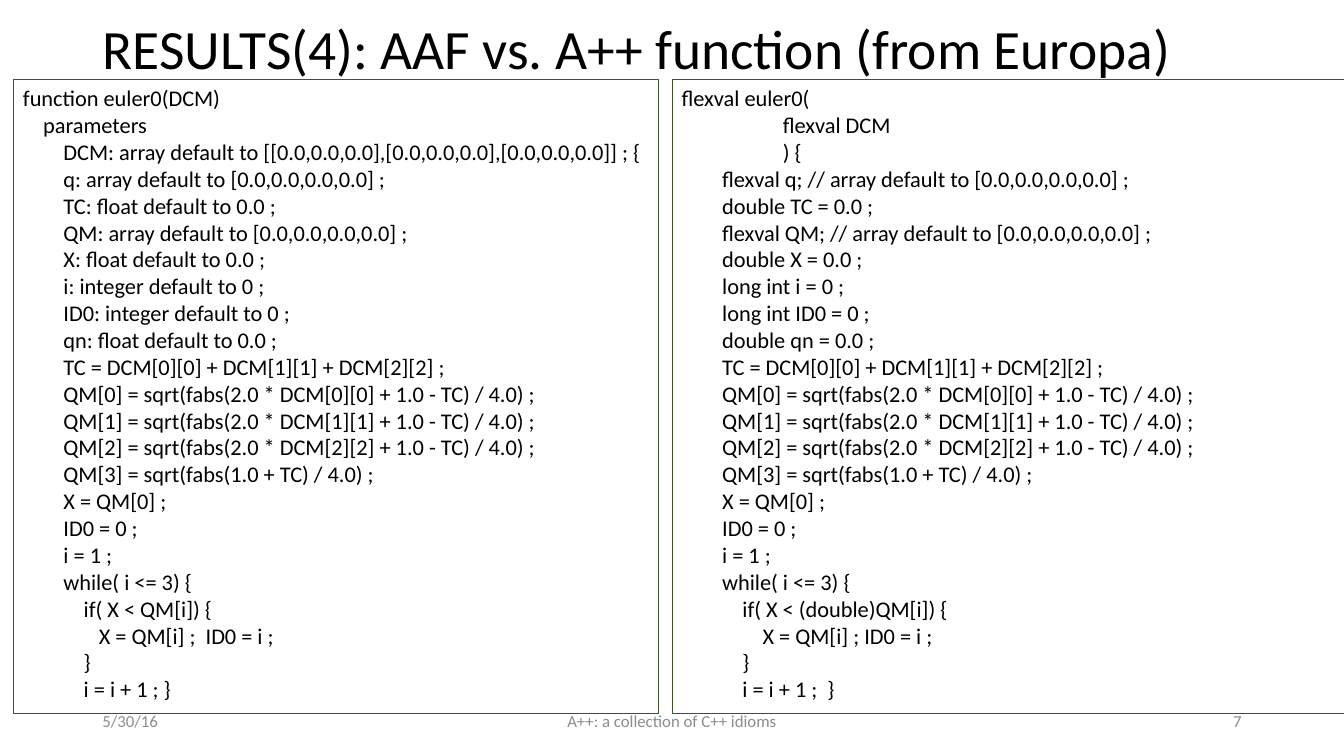
from dataclasses import dataclass

from pptx import Presentation
from pptx.dml.color import RGBColor
from pptx.enum.text import MSO_ANCHOR, MSO_AUTO_SIZE, PP_ALIGN
from pptx.util import Cm, Pt

LEFT, MID, RIGHT = PP_ALIGN.LEFT, PP_ALIGN.CENTER, PP_ALIGN.RIGHT
TOP, MIDDLE = MSO_ANCHOR.TOP, MSO_ANCHOR.MIDDLE
FIXED, GROW = MSO_AUTO_SIZE.NONE, MSO_AUTO_SIZE.SHAPE_TO_FIT_TEXT


@dataclass(frozen=True)
class Theme:
    font: str = "Calibri"
    ink: RGBColor = RGBColor(0, 0, 0)
    muted: RGBColor = RGBColor(0x8C, 0x8C, 0x8C)
    edge: RGBColor = RGBColor(0x38, 0x57, 0x23)
    title: Pt = Pt(39.6)
    code: Pt = Pt(16)
    foot: Pt = Pt(12)
    rule: Pt = Pt(0.25)
    step: Cm = Cm(0.1275)  # indent for one column of code


THEME = Theme()

SHARED = """\
        TC = DCM[0][0] + DCM[1][1] + DCM[2][2] ;
        QM[0] = sqrt(fabs(2.0 * DCM[0][0] + 1.0 - TC) / 4.0) ;
        QM[1] = sqrt(fabs(2.0 * DCM[1][1] + 1.0 - TC) / 4.0) ;
        QM[2] = sqrt(fabs(2.0 * DCM[2][2] + 1.0 - TC) / 4.0) ;
        QM[3] = sqrt(fabs(1.0 + TC) / 4.0) ;
        X = QM[0] ;
        ID0 = 0 ;
        i = 1 ;
        while( i <= 3) {
"""

AAF = f"""\
function euler0(DCM)
    parameters
        DCM: array default to [[0.0,0.0,0.0],[0.0,0.0,0.0],[0.0,0.0,0.0]] ; {{
        q: array default to [0.0,0.0,0.0,0.0] ;
        TC: float default to 0.0 ;
        QM: array default to [0.0,0.0,0.0,0.0] ;
        X: float default to 0.0 ;
        i: integer default to 0 ;
        ID0: integer default to 0 ;
        qn: float default to 0.0 ;
{SHARED}\
            if( X < QM[i]) {{
               X = QM[i] ;  ID0 = i ;
            }}
            i = i + 1 ; }}"""

APP = f"""\
flexval euler0(
                    flexval DCM
                    ) {{
        flexval q; // array default to [0.0,0.0,0.0,0.0] ;
        double TC = 0.0 ;
        flexval QM; // array default to [0.0,0.0,0.0,0.0] ;
        double X = 0.0 ;
        long int i = 0 ;
        long int ID0 = 0 ;
        double qn = 0.0 ;
{SHARED}\
            if( X < (double)QM[i]) {{
                X = QM[i] ; ID0 = i ;
            }}
            i = i + 1 ;  }}"""


def apply(obj, **values):
    for name, value in values.items():
        setattr(obj, name, value)


def place(shape, left, top, width, height):
    apply(shape, left=Cm(left), top=Cm(top), width=Cm(width), height=Cm(height))


def write(par, text, size, color, align=LEFT):
    """Fill a paragraph, turning leading spaces into a left indent."""
    bare = text.lstrip()
    par.alignment = align
    depth = len(text) - len(bare)
    if depth:
        par._p.get_or_add_pPr().set("marL", str(depth * THEME.step))
    run = par.add_run()
    run.text = bare
    apply(run.font, name=THEME.font, size=size)
    run.font.color.rgb = color


def add_title(slide, text):
    shape = slide.shapes.title
    place(shape, 2.33, 0.58, 29.21, 1.42)
    apply(shape.text_frame, vertical_anchor=MIDDLE, auto_size=FIXED, word_wrap=True)
    par = shape.text_frame.paragraphs[0]
    write(par, text, THEME.title, THEME.ink)
    par.line_spacing = 0.9


def add_code(slide, code, left, width, wrap):
    box = slide.shapes.add_textbox(Cm(left), Cm(2), Cm(width), Cm(15.98))
    box.line.color.rgb = THEME.edge
    box.line.width = THEME.rule
    frame = box.text_frame
    apply(frame, word_wrap=wrap, auto_size=GROW, vertical_anchor=TOP)
    for num, line in enumerate(code.splitlines()):
        par = frame.add_paragraph() if num else frame.paragraphs[0]
        write(par, line, THEME.code, THEME.ink)


def add_foot(slide, text, left, width, align):
    box = slide.shapes.add_textbox(Cm(left), Cm(17.65), Cm(width), Cm(1.01))
    apply(box.text_frame, word_wrap=True, vertical_anchor=MIDDLE)
    write(box.text_frame.paragraphs[0], text, THEME.foot, THEME.muted, align)


def main():
    deck = Presentation()
    apply(deck, slide_width=Cm(33.87), slide_height=Cm(19.05))
    slide = deck.slides.add_slide(deck.slide_layouts[5])
    add_title(slide, "RESULTS(4): AAF vs. A++ function (from Europa)")
    add_foot(slide, "5/30/16", 2.33, 7.62, LEFT)
    add_foot(slide, "A++: a collection of C++ idioms", 11.22, 11.43, MID)
    add_foot(slide, "7", 23.92, 7.62, RIGHT)
    add_code(slide, AAF, 0.33, 16.26, False)
    add_code(slide, APP, 16.93, 16.94, True)
    deck.save("out.pptx")


if __name__ == "__main__":
    main()
